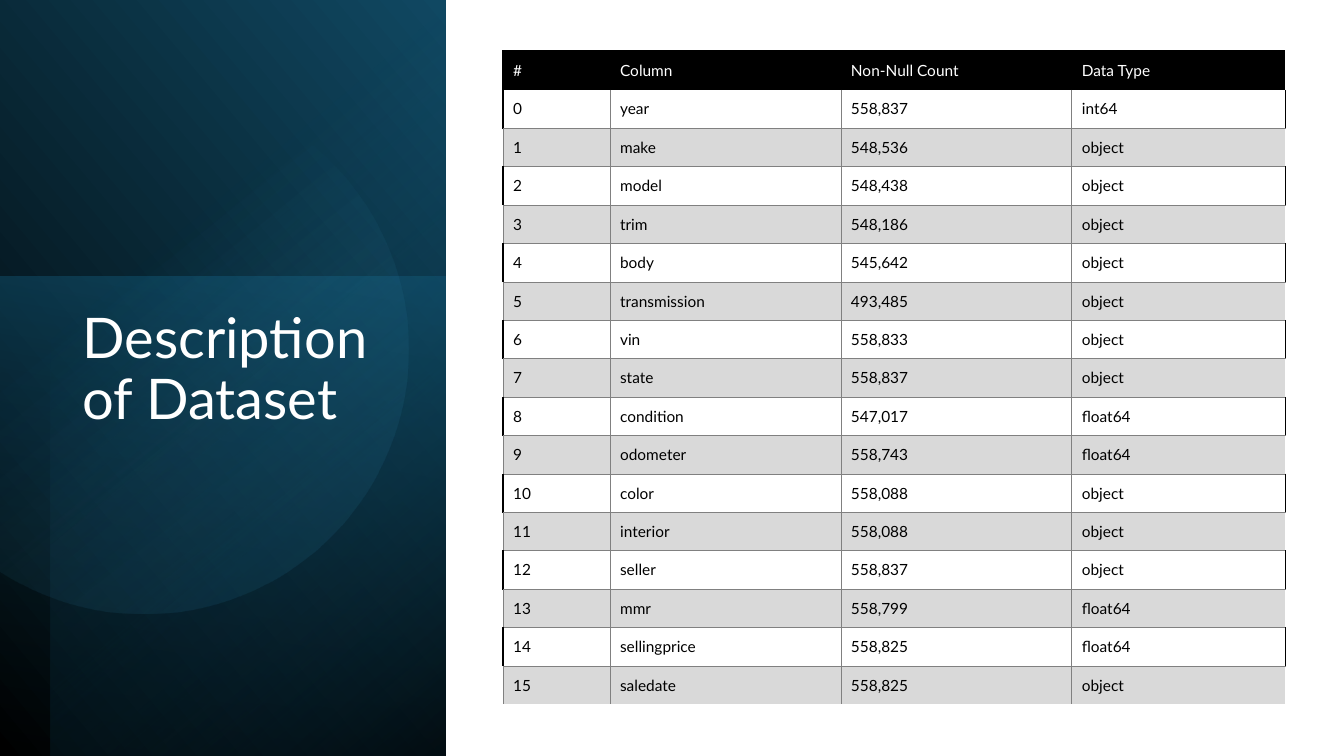
from math import acos, cos, degrees, radians, sin

from lxml.etree import SubElement
from pptx import Presentation
from pptx.dml.color import RGBColor
from pptx.enum.shapes import MSO_SHAPE as Shape
from pptx.enum.text import MSO_ANCHOR as Anchor
from pptx.oxml.ns import qn
from pptx.util import Inches, Pt

FONT = "Lato"
BLACK, WHITE, GREY, BAND = "000000", "FFFFFF", "808080", "D9D9D9"
PLAIN_TABLE_STYLE = "{2D5ABB26-0587-4C30-8999-92F81FD0307C}"
HEADER = ("#", "Column", "Non-Null Count", "Data Type")
FIELDS = [
    ("year", "558,837", "int64"),
    ("make", "548,536", "object"),
    ("model", "548,438", "object"),
    ("trim", "548,186", "object"),
    ("body", "545,642", "object"),
    ("transmission", "493,485", "object"),
    ("vin", "558,833", "object"),
    ("state", "558,837", "object"),
    ("condition", "547,017", "float64"),
    ("odometer", "558,743", "float64"),
    ("color", "558,088", "object"),
    ("interior", "558,088", "object"),
    ("seller", "558,837", "object"),
    ("mmr", "558,799", "float64"),
    ("sellingprice", "558,825", "float64"),
    ("saledate", "558,825", "object"),
]


def color(value):
    return RGBColor.from_string(value)


def write(frame, text, size, value, **formats):
    """Put one run of text in the frame and apply the frame formats."""
    for name, setting in formats.items():
        setattr(frame, name, setting)
    span = frame.paragraphs[0].add_run()
    span.text = text
    for name, setting in {"name": FONT, "size": Pt(size)}.items():
        setattr(span.font, name, setting)
    span.font.color.rgb = color(value)


def add_gradient(shape, stops, angle):
    """Fill with (position, colour, opacity) stops; the angle runs clockwise."""
    shape.shadow.inherit = False
    shape.line.fill.background()
    shape.fill.gradient()
    gradient = shape.fill._xPr.find(qn("a:gradFill"))
    gradient.set("rotWithShape", "1")
    for child in list(gradient):
        gradient.remove(child)
    stop_list = SubElement(gradient, qn("a:gsLst"))
    for position, value, opacity in stops:
        stop = SubElement(stop_list, qn("a:gs"), pos=str(position * 1000))
        tint = SubElement(stop, qn("a:srgbClr"), val=value)
        if opacity < 100:
            SubElement(tint, qn("a:alpha"), val=str(opacity * 1000))
    SubElement(gradient, qn("a:lin"), ang=str(angle * 60000), scaled="0")


def add_turned_panel(page, left, top, width, height, rotation, flipped, stops, angle):
    """Cover the given box with a rectangle turned by a quarter."""
    panel = page.shapes.add_shape(
        Shape.RECTANGLE,
        Inches(left + (width - height) / 2), Inches(top + (height - width) / 2),
        Inches(height), Inches(width))
    panel.rotation = rotation
    if flipped:
        panel._element.spPr.find(qn("a:xfrm")).set("flipH", "1")
    add_gradient(panel, stops, angle)


def add_cut_disc(page, center_x, center_y, radius, cut, rotation, stops, angle):
    """Draw a disc cut by a vertical chord, at a distance left of its centre."""
    half_arc = degrees(acos(-cut / radius))
    steps = 90
    turns = [radians(-half_arc + 2 * half_arc * step / steps - rotation)
             for step in range(steps + 1)]
    points = [(Inches(center_x + radius * cos(turn)), Inches(center_y + radius * sin(turn)))
              for turn in turns]
    builder = page.shapes.build_freeform(*points[0])
    builder.add_line_segments(points[1:], close=True)
    disc = builder.convert_to_shape()
    disc.rotation = rotation
    add_gradient(disc, stops, angle)


def add_side_panel(page, left, top, width, height):
    add_turned_panel(page, left, top, width, height, 90, True,
                     [(0, BLACK, 100), (100, "104862", 100)], 310)
    add_turned_panel(page, left, top + 2.74, width, height - 2.76, 270, False,
                     [(0, "156082", 50), (100, "0B3041", 0)], 190)
    add_turned_panel(page, left + 0.5, top, width - 0.5, height - 0.02, 270, True,
                     [(0, BLACK, 59), (69, "156082", 0)], 220)
    add_cut_disc(page, left + 1.81, top + 3.93, 2.62, 1.43, 101.6,
                 [(39, "46B1E1", 0), (100, "104862", 26)], 310)
    box = page.shapes.add_textbox(Inches(left + 0.72), Inches(top + 3.03),
                                  Inches(3.15), Inches(3.36))
    write(box.text_frame, "Description of Dataset", 40, WHITE,
          word_wrap=True, vertical_anchor=Anchor.TOP)
    box.text_frame.paragraphs[0].line_spacing = 0.9


def cell_borders(row, column, last):
    """Give the colour and width of each drawn side, in the order L, R, T, B."""
    thin, thick = (GREY, 0.5), (BLACK, 1.5)
    if row == 0:
        return {"L": thick, "T": thick} if column == 0 else {"T": thick}
    if row % 2:
        return {"L": thick if column == 0 else thin,
                "R": thick if column == last else thin, "B": thin}
    if column == last:
        return {"L": thin, "T": thin}
    return {"L": thin, "R": thin, "T": thin}


def format_cell(cell, text, row, column, last):
    properties = cell._tc.get_or_add_tcPr()
    for side, (value, width) in cell_borders(row, column, last).items():
        line = SubElement(properties, qn(f"a:ln{side}"), w=str(Pt(width)))
        SubElement(SubElement(line, qn("a:solidFill")), qn("a:srgbClr"), val=value)
    if row % 2:
        cell.fill.background()
    else:
        cell.fill.solid()
        cell.fill.fore_color.rgb = color(BAND if row else BLACK)
    formats = {"margin_left": Inches(0.1), "margin_right": Inches(0.06),
               "margin_top": Inches(0.08), "margin_bottom": Inches(0.08),
               "vertical_anchor": Anchor.MIDDLE}
    for name, setting in formats.items():
        setattr(cell, name, setting)
    write(cell.text_frame, text, 11, BLACK if row else WHITE)


def add_field_table(page, left, top, width, height):
    rows = [HEADER] + [(str(number), *field) for number, field in enumerate(FIELDS)]
    shares = (1.06, 2.29, 2.29, 2.12)
    table = page.shapes.add_table(len(rows), len(shares), Inches(left), Inches(top),
                                  Inches(width), Inches(height)).table
    table.horz_banding = False
    table.first_row = False
    table._tbl.tblPr.find(qn("a:tableStyleId")).text = PLAIN_TABLE_STYLE
    for column, share in zip(table.columns, shares):
        column.width = Inches(width * share / sum(shares))
    for row, texts in enumerate(rows):
        table.rows[row].height = Inches(height / len(rows))
        for column, text in enumerate(texts):
            format_cell(table.cell(row, column), text, row, column, len(shares) - 1)


def main():
    deck = Presentation()
    deck.slide_width, deck.slide_height = Inches(13.33), Inches(7.5)
    page = deck.slides.add_slide(deck.slide_layouts[6])
    add_side_panel(page, 0, 0, 4.42, 7.52)
    add_field_table(page, 4.99, 0.51, 7.76, 6.48)
    deck.save("out.pptx")


if __name__ == "__main__":
    main()
